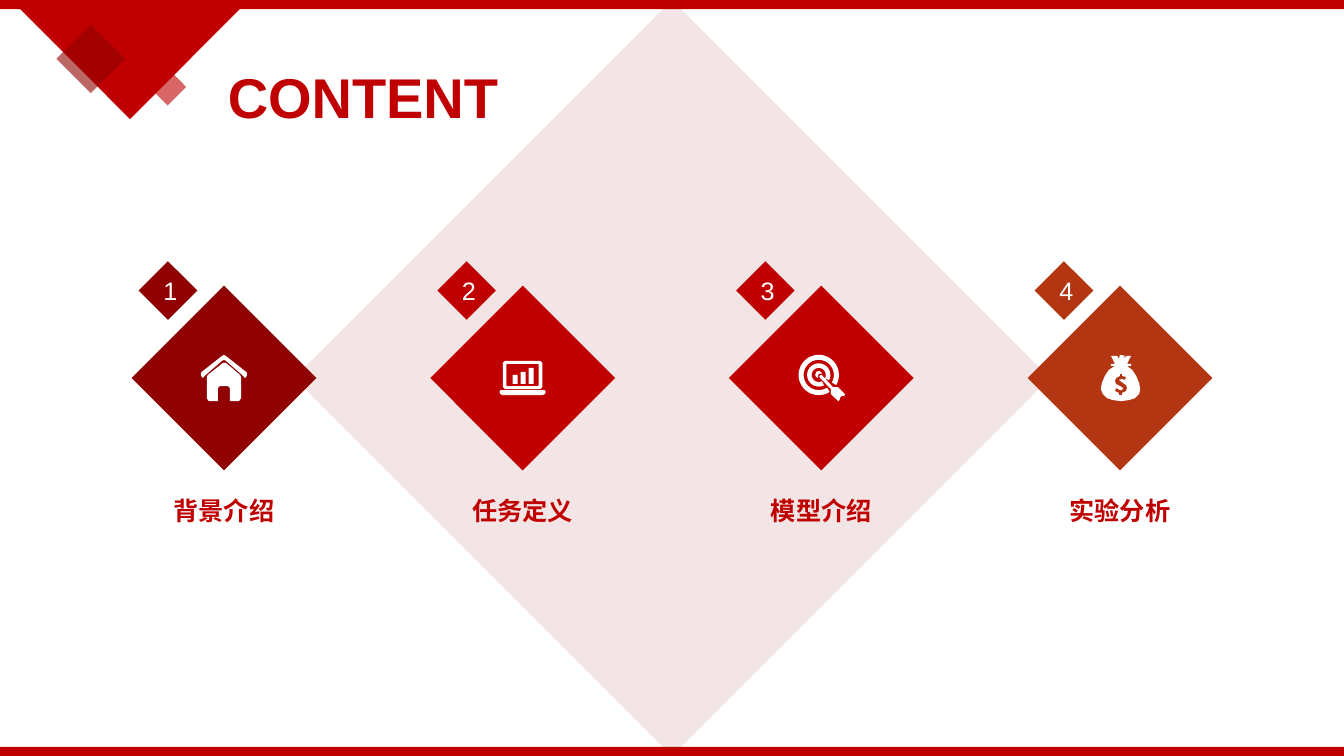
import math

import pptx
import pptx.dml.color
import pptx.enum.shapes
import pptx.enum.text
import pptx.oxml
import pptx.oxml.ns
import pptx.util

Pt = pptx.util.Pt
RGBColor = pptx.dml.color.RGBColor
MSO_SHAPE = pptx.enum.shapes.MSO_SHAPE
PP_ALIGN = pptx.enum.text.PP_ALIGN
MSO_ANCHOR = pptx.enum.text.MSO_ANCHOR

COLORS = {"red": "C00000", "dark": "900000", "rust": "B43512", "white": "FFFFFF"}

presentation = pptx.Presentation()
presentation.slide_width = Pt(960)
presentation.slide_height = Pt(540)
slide = presentation.slides.add_slide(presentation.slide_layouts[5])


def paint(shape, color, opacity=100):
    shape.shadow.inherit = False
    shape.fill.solid()
    shape.fill.fore_color.rgb = RGBColor.from_string(COLORS[color])
    shape.line.fill.background()
    if opacity < 100:
        fill_color = next(shape._element.iter(pptx.oxml.ns.qn("a:srgbClr")))
        alpha = pptx.oxml.parse_xml(f'<a:alpha {pptx.oxml.ns.nsdecls("a")} val="{opacity * 1000}"/>')
        fill_color.append(alpha)
    return shape


def add_outline(contours, color, left=0, top=0, unit=1):
    builder = None
    for contour in contours:
        points = [(Pt(left + x * unit), Pt(top + y * unit)) for x, y in contour]
        if builder is None:
            builder = slide.shapes.build_freeform(*points[0])
        else:
            builder.move_to(*points[0])
        builder.add_line_segments(points[1:], close=True)
    return paint(builder.convert_to_shape(), color)


corner_diamond = slide.shapes.add_shape(MSO_SHAPE.DIAMOND, Pt(106.4), Pt(48.8), Pt(26.6), Pt(26.6))
paint(corner_diamond, "red", 60)
add_outline([[(20.2, 0), (167, 0.7), (172.1, 5.8), (92.9, 85), (13.7, 5.8)]], "red")
corner_diamond = slide.shapes.add_shape(MSO_SHAPE.DIAMOND, Pt(40.3), Pt(17.5), Pt(49), Pt(49))
paint(corner_diamond, "dark", 60)
for bar_top in (0, 533.5):
    paint(slide.shapes.add_shape(MSO_SHAPE.RECTANGLE, 0, Pt(bar_top), Pt(960), Pt(6.5)), "red")

title = slide.shapes.title
title.left, title.top, title.width, title.height = Pt(155.5), Pt(34.6), Pt(261.4), Pt(57.6)
title.text_frame.vertical_anchor = MSO_ANCHOR.TOP
title.text_frame.word_wrap = True
paragraph = title.text_frame.paragraphs[0]
paragraph.alignment = PP_ALIGN.LEFT
paragraph.line_spacing = 1.14
run = paragraph.add_run()
run.text = "CONTENT"
run.font.name = "Arial"
run.font.size = Pt(40)
run.font.bold = True
run.font.color.rgb = RGBColor.from_string(COLORS["red"])

paint(slide.shapes.add_shape(MSO_SHAPE.DIAMOND, Pt(210), 0, Pt(540), Pt(540)), "dark", 10)

house = [
    [(-1, -15), (2, -15), (16, -3), (17, -1), (17, 20), (15, 23), (6, 23), (6, 10), (4, 8),
     (-4, 8), (-6, 10), (-6, 23), (-15, 23), (-17, 20), (-17, -1), (-16, -3)],
    [(0, -23), (3, -21), (22, -6), (23, -5), (23, -3), (22, -1), (21, 0), (18, -3), (2, -17), (0, -18),
     (-2, -17), (-18, -3), (-21, 0), (-22, -1), (-23, -3), (-23, -5), (-22, -6), (-3, -21)],
]

laptop = [[(-22, 12), (22, 12), (23, 14), (22, 16), (20, 17), (-20, 17), (-22, 16), (-23, 14)]]
for left, top, right, bottom, cut in (
    (-19.5, -17, 19.5, 11, 2), (-16, -14, 16, 8, 0.5),
    (-10, -3, -5, 6, 0.5), (-2, -6, 3, 6, 0.5), (6, -10, 11, 6, 0.5),
):
    laptop.append([
        (left + cut, top), (right - cut, top), (right, top + cut), (right, bottom - cut),
        (right - cut, bottom), (left + cut, bottom), (left, bottom - cut), (left, top + cut),
    ])

target = [
    [(-1, -3), (0.5, -3), (11.5, 9), (16.5, 9), (23.5, 16), (23.5, 17), (22, 18), (20, 18),
     (19, 19), (18, 22), (17, 23), (9.5, 16), (9.5, 11), (-2, -1)],
    [(-2.5, -7), (0, -6), (0.5, -4), (-2, -4.5), (-3, -3), (-3.5, 0), (-5, -1), (-6, -3), (-5, -6)],
]
for outer, inner, first, last in ((20, 15, 57, 390), (11.5, 7, 63, 387)):
    angles = [math.radians(first + (last - first) * step / 40) for step in range(41)]
    target.append([
        (-2.5 + radius * math.cos(angle), -3 + radius * math.sin(angle))
        for radius, sweep in ((outer, angles), (inner, angles[::-1])) for angle in sweep
    ])

money_bag = [
    [(0, -23), (5, -22), (3, -19), (7, -22), (11, -22), (7, -14), (11, -14), (11, -12), (7, -12),
     (12, -8), (16, -2), (19, 5), (20, 11), (19, 16), (15, 20), (9, 22), (1, 23), (-7, 22), (-13, 20),
     (-17, 16), (-19, 11), (-18, 5), (-15, -2), (-11, -8), (-5, -12), (-9, -12), (-9, -14), (-5, -14),
     (-9, -22), (-3, -22), (-1, -19)],
    [(0, -4), (0, -2), (-4, 0), (-5, 3), (-4, 6), (0, 8), (3, 10), (2, 12), (0, 12), (-4, 10),
     (-5, 13), (-1, 15), (-1, 17), (2, 17), (2, 15), (6, 13), (7, 10), (6, 7), (3, 5), (-1, 2),
     (2, 1), (5, 2), (6, -1), (2, -2), (2, -4)],
]

sections = [
    ("背景介绍", "dark", house),
    ("任务定义", "red", laptop),
    ("模型介绍", "red", target),
    ("实验分析", "rust", money_bag),
]
for index, (name, color, icon) in enumerate(sections):
    center = 160 + index * 640 / 3
    diamond = slide.shapes.add_shape(MSO_SHAPE.DIAMOND, Pt(center - 66), Pt(204), Pt(132), Pt(132))
    paint(diamond, color)
    add_outline(icon, "white", center, 270, 0.72)

    badge = slide.shapes.add_shape(MSO_SHAPE.DIAMOND, Pt(center - 60.9), Pt(186.6), Pt(41.8), Pt(41.8))
    paint(badge, color)
    badge.text_frame.vertical_anchor = MSO_ANCHOR.MIDDLE
    label = slide.shapes.add_textbox(Pt(center - 87.5), Pt(347), Pt(175), Pt(30.2))
    label.text_frame.word_wrap = True
    label.text_frame.paragraphs[0].line_spacing = 1.14

    for shape, text, text_color, bold in (
        (badge, str(index + 1), "white", False), (label, name, "red", True),
    ):
        paragraph = shape.text_frame.paragraphs[0]
        paragraph.alignment = PP_ALIGN.CENTER
        run = paragraph.add_run()
        run.text = text
        run.font.name = "Arial"
        run.font.size = Pt(18)
        run.font.bold = bold
        run.font.color.rgb = RGBColor.from_string(COLORS[text_color])

presentation.save("out.pptx")
